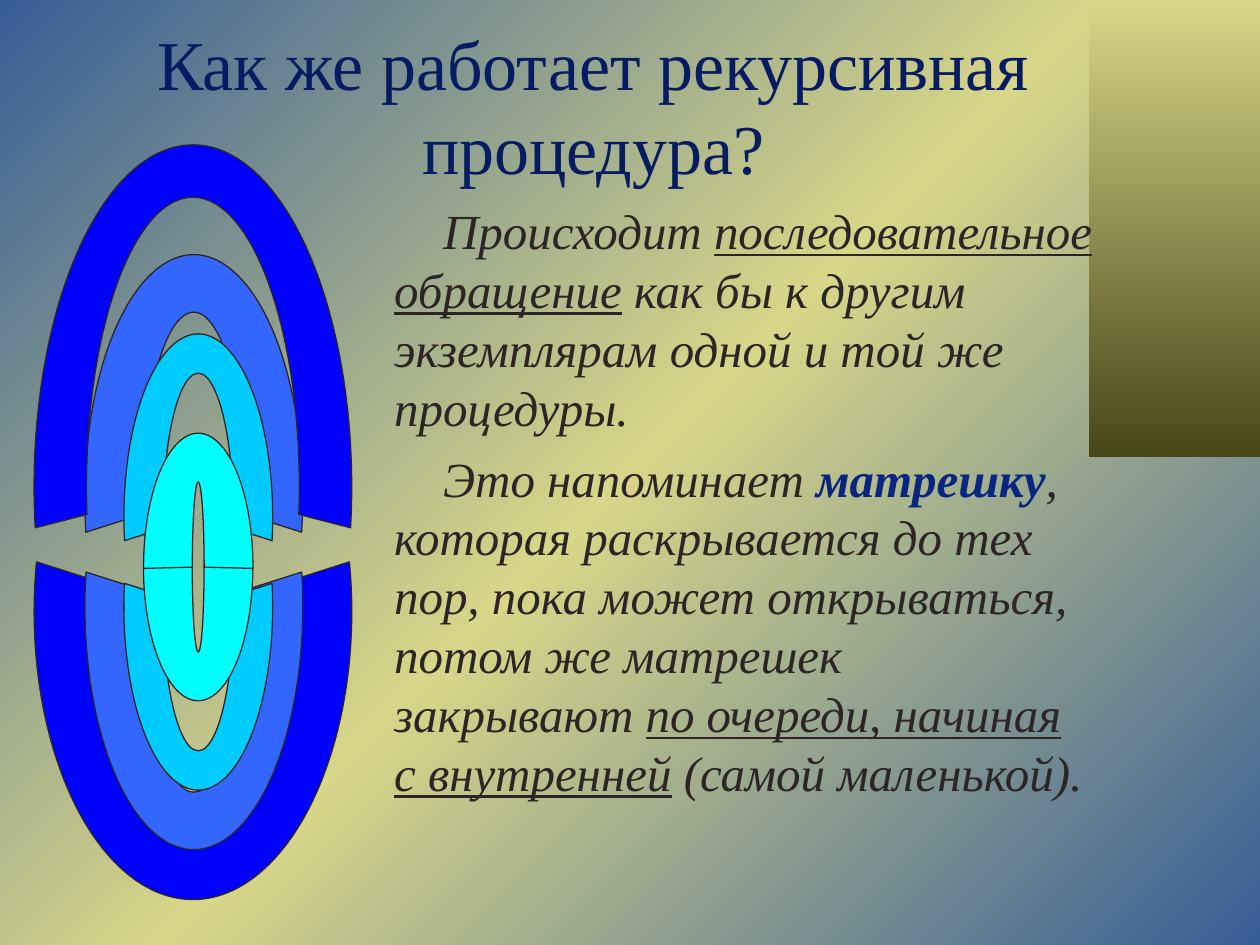
from copy import deepcopy

from pptx import Presentation
from pptx.dml.color import RGBColor
from pptx.enum.shapes import MSO_SHAPE
from pptx.enum.text import MSO_ANCHOR, MSO_AUTO_SIZE, PP_ALIGN
from pptx.oxml.ns import qn
from pptx.util import Pt

# Colours and font
FONT = "Times New Roman"
STEEL = RGBColor(0x36, 0x5D, 0x96)
SAND = RGBColor(0xD8, 0xD6, 0x88)
OLIVE = RGBColor(0x48, 0x47, 0x19)
NAVY = RGBColor(0x06, 0x1C, 0x62)
ACCENT = RGBColor(0x08, 0x25, 0x82)
INK = RGBColor(0x2D, 0x25, 0x25)
BLUE = RGBColor(0x00, 0x00, 0xFF)
AZURE = RGBColor(0x33, 0x66, 0xFF)
SKY = RGBColor(0x00, 0xCC, 0xFF)
CYAN = RGBColor(0x00, 0xFF, 0xFF)

# Content: each paragraph is a list of (text, format) runs
TITLE = "Как же работает рекурсивная процедура?"
BODY = [
    [("Происходит ", {}),
     ("последовательное обращение", {"underline": True}),
     (" как бы к другим экземплярам одной и той же процедуры.", {})],
    [("Это напоминает ", {}),
     ("матрешку", {"bold": True, "color": ACCENT}),
     (", которая раскрывается до тех пор, пока может открываться, "
      "потом же матрешек закрывают ", {}),
     ("по очереди, начиная с внутренней", {"underline": True}),
     (" (самой маленькой).", {})],
]

# Doll halves, back to front: left, top, width, height, rotation, arc, colour
OUTER_ARC = (99.287, 8.713, 0.165)
SHELL_ARC = (97.407, 10.593, 0.264)
CORE_ARC = (215.151, 108.849, 0.446)
DOLLS = [
    (19.5, 185, 181.5, 329, 180, SHELL_ARC, BLUE),
    (48.5, 207.5, 124.5, 278, 180, SHELL_ARC, AZURE),
    (70.8, 242, 85, 209.5, 180, SHELL_ARC, SKY),
    (82, 247.5, 62.5, 153, 0, CORE_ARC, CYAN),
    (48.5, 145.5, 124.5, 278, 0, SHELL_ARC, AZURE),
    (70.8, 190.8, 85, 209.5, 0, SHELL_ARC, SKY),
    (82, 247.5, 62.5, 153, 180, CORE_ARC, CYAN),
    (19.5, 82.8, 181.5, 391, 0, OUTER_ARC, BLUE),
]


def add_run(p, text, size=28, color=INK, bold=False, italic=False, underline=False):
    r = p.add_run()
    r.text = text
    f = r.font
    f.name, f.size, f.color.rgb = FONT, Pt(size), color
    f.bold, f.italic, f.underline = bold, italic, underline


def set_gradient(fill, element, colors, angle):
    """Spread the colours evenly; the angle runs counter-clockwise."""
    fill.gradient()
    fill.gradient_angle = angle
    stops = element.find(".//" + qn("a:gsLst"))
    while len(stops) < len(colors):
        stops.append(deepcopy(stops[-1]))
    for i, (stop, color) in enumerate(zip(fill.gradient_stops, colors)):
        stop.position = i / (len(colors) - 1)
        stop.color.rgb = color


def add_shape(kind, left, top, width, height):
    sp = s.shapes.add_shape(kind, Pt(left), Pt(top), Pt(width), Pt(height))
    sp.shadow.inherit = False
    return sp


def place(sp, left, top, width, height, anchor):
    sp.left, sp.top, sp.width, sp.height = Pt(left), Pt(top), Pt(width), Pt(height)
    tf = sp.text_frame
    tf.word_wrap, tf.auto_size, tf.vertical_anchor = True, MSO_AUTO_SIZE.NONE, anchor
    return tf


prs = Presentation()
prs.slide_width, prs.slide_height = Pt(720), Pt(540)
s = prs.slides.add_slide(prs.slide_layouts[1])

# Background and the corner panel behind the text
set_gradient(s.background.fill, s.element, [STEEL, SAND, STEEL], 135)
panel = add_shape(MSO_SHAPE.RECTANGLE, 622.5, 0, 97.5, 261)
set_gradient(panel.fill, panel.element, [SAND, OLIVE], 270)
panel.line.fill.background()
s.shapes.title.element.addprevious(panel.element)

# Title
tf = place(s.shapes.title, 48, 15, 582, 90, MSO_ANCHOR.MIDDLE)
p = tf.paragraphs[0]
p.alignment = PP_ALIGN.CENTER
add_run(p, TITLE, size=40, color=NAVY)

# Body
tf = place(s.placeholders[1], 218, 111, 414, 402.5, MSO_ANCHOR.TOP)
for i, runs in enumerate(BODY):
    p = tf.add_paragraph() if i else tf.paragraphs[0]
    pPr = p._p.get_or_add_pPr()
    pPr.set("marL", "0")
    pPr.set("indent", str(Pt(28)))
    p.space_before = Pt(7 if i else 0)
    pPr.append(pPr.makeelement(qn("a:buNone"), {}))
    for text, style in runs:
        add_run(p, text, italic=True, **style)

# Nested dolls
for left, top, width, height, rotation, arc, color in DOLLS:
    sp = add_shape(MSO_SHAPE.BLOCK_ARC, left, top, width, height)
    sp.rotation = rotation
    for i, value in enumerate(arc):
        sp.adjustments[i] = value
    sp.fill.solid()
    sp.fill.fore_color.rgb = color
    sp.line.color.rgb, sp.line.width = INK, Pt(0.75)

prs.save("out.pptx")
